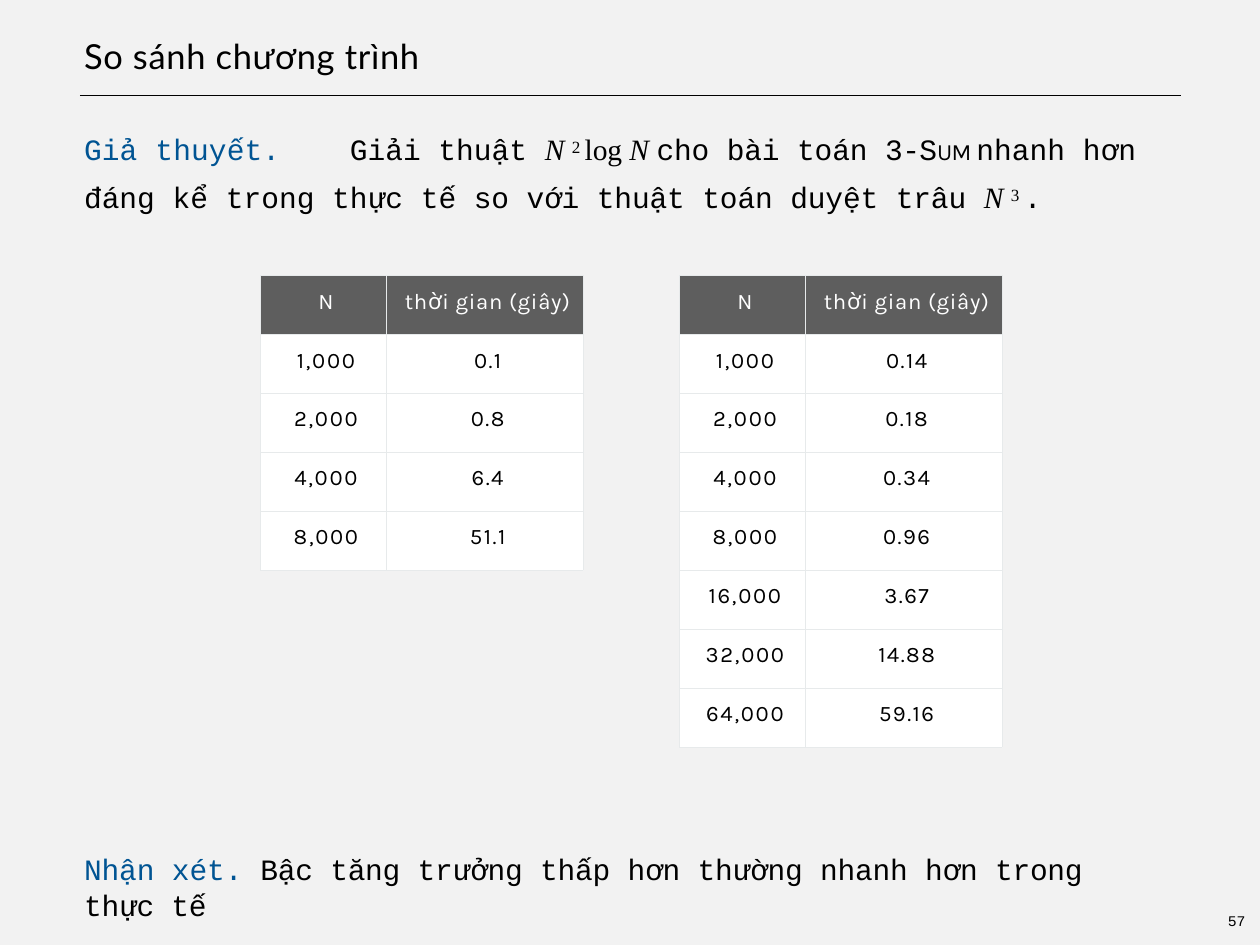
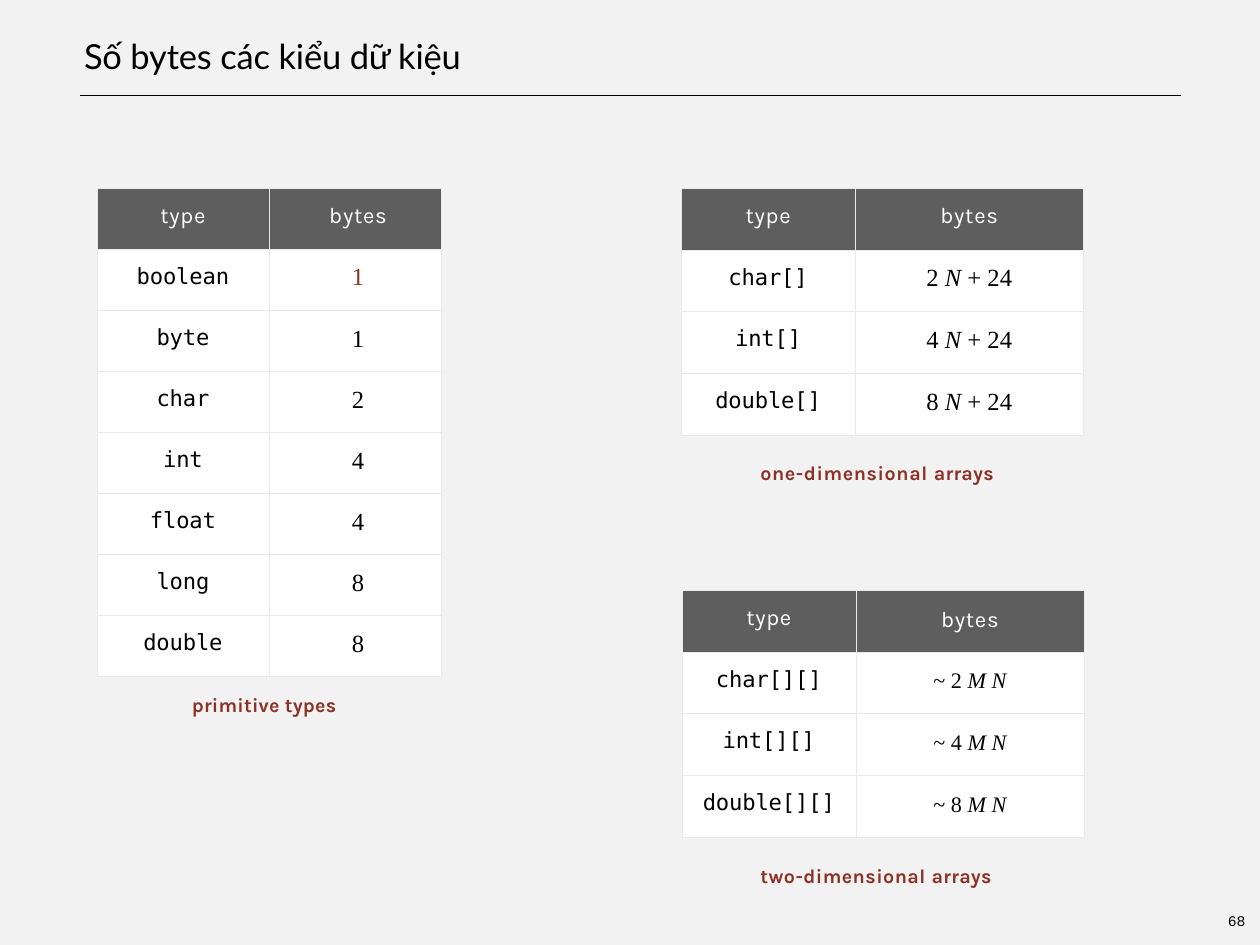
"""Build two slides on running times and memory use, with tables."""
from dataclasses import dataclass

from lxml import etree
from pptx import Presentation
from pptx import slide as s
from pptx import util as u
from pptx.dml import color as c
from pptx.enum import shapes, text
from pptx.oxml import ns
from pptx.table import _Cell as Cell
from pptx.text import text as t


@dataclass(frozen=True)
class Style:
    font: str
    size: float
    color: str = "000000"
    bold: bool = False


@dataclass(frozen=True)
class Theme:
    background: str = "F2F2F2"
    ink: str = "000000"
    blue: str = "005493"
    red: str = "8D3124"
    header_fill: str = "5E5E5E"
    cell_fill: str = "FFFFFF"
    border: str = "E7EAEB"
    math_font: str = "Times New Roman"
    label_font: str = "Karla"
    small_caps_size: float = 19
    title: Style = Style("Lato", 28)
    body: Style = Style("Courier New", 24)
    number: Style = Style("Courier New", 12)
    header: Style = Style("Karla", 18, "FFFFFF")
    figure: Style = Style("Karla", 18)
    code: Style = Style("DejaVu Sans Mono", 18)
    math: Style = Style("Times New Roman", 20)
    small_math: Style = Style("Times New Roman", 18)
    caption: Style = Style("Karla", 16, "8D3124", True)


THEME = Theme()


@dataclass(frozen=True)
class Run:
    text: str
    spacing: float = 0
    font: str | None = None
    size: float | None = None
    color: str | None = None
    italic: bool = False
    raised: bool = False


Runs = tuple[Run, ...]


@dataclass(frozen=True)
class Box:
    left: float
    top: float
    width: float
    height: float


@dataclass(frozen=True)
class Column:
    title: str
    width: float
    style: Style
    spacing: float = 0
    inset_left: float = 0
    inset_top: float = 0.43


@dataclass(frozen=True)
class Grid:
    left: float
    top: float
    row_height: float
    columns: tuple[Column, ...]
    rows: list[tuple[str | Runs, ...]]


def math_symbol(symbol: str) -> Run:
    return Run(symbol, font=THEME.math_font, italic=True)


def exponent(digit: str) -> Run:
    return Run(digit, font=THEME.math_font, raised=True)


def write(paragraph: t._Paragraph, style: Style, runs: Runs) -> None:
    font = paragraph.font
    font.name, font.size, font.bold = style.font, u.Pt(style.size), style.bold
    font.color.rgb = c.RGBColor.from_string(style.color)
    for part in runs:
        run = paragraph.add_run()
        run.text = part.text
        if part.font:
            run.font.name = part.font
        if part.size:
            run.font.size = u.Pt(part.size)
        if part.color:
            run.font.color.rgb = c.RGBColor.from_string(part.color)
        if part.italic:
            run.font.italic = True
        properties = run._r.get_or_add_rPr()
        if part.spacing:
            properties.set("spc", str(round(part.spacing * 100)))
        if part.raised:
            properties.set("baseline", "24000")


def add_text(slide: s.Slide, box: Box, style: Style, runs: Runs,
             line_spacing: float | None = None, tab: float | None = None) -> None:
    shape = slide.shapes.add_textbox(u.Cm(box.left), u.Cm(box.top), u.Cm(box.width), u.Cm(box.height))
    frame = shape.text_frame
    frame.word_wrap = True
    frame.margin_left = frame.margin_top = frame.margin_right = frame.margin_bottom = 0
    paragraph = frame.paragraphs[0]
    if line_spacing:
        paragraph.line_spacing = line_spacing
    if tab:
        tabs = etree.SubElement(paragraph._p.get_or_add_pPr(), ns.qn("a:tabLst"))
        etree.SubElement(tabs, ns.qn("a:tab"), pos=str(int(u.Cm(tab))), algn="l")
    write(paragraph, style, runs)


def set_borders(cell: Cell) -> None:
    properties = cell._tc.get_or_add_tcPr()
    for position, side in enumerate(("a:lnL", "a:lnR", "a:lnT", "a:lnB")):
        line = etree.Element(ns.qn(side), w=str(int(u.Pt(0.25))))
        fill = etree.SubElement(line, ns.qn("a:solidFill"))
        etree.SubElement(fill, ns.qn("a:srgbClr"), val=THEME.border)
        properties.insert(position, line)


def fill_cell(cell: Cell, column: Column, content: str | Runs, is_header: bool) -> None:
    cell.margin_left = u.Cm(column.inset_left)
    cell.margin_top = u.Cm(column.inset_top)
    cell.margin_right = cell.margin_bottom = 0
    cell.fill.solid()
    cell.fill.fore_color.rgb = c.RGBColor.from_string(
        THEME.header_fill if is_header else THEME.cell_fill)
    set_borders(cell)
    spacing = 0.6 if is_header else column.spacing
    runs = (Run(content, spacing),) if isinstance(content, str) else content
    paragraph = cell.text_frame.paragraphs[0]
    paragraph.alignment = text.PP_ALIGN.CENTER
    write(paragraph, THEME.header if is_header else column.style, runs)


def add_grid(slide: s.Slide, grid: Grid) -> None:
    lines = [tuple(column.title for column in grid.columns), *grid.rows]
    width = sum(column.width for column in grid.columns)
    table = slide.shapes.add_table(
        len(lines), len(grid.columns), u.Cm(grid.left), u.Cm(grid.top),
        u.Cm(width), u.Cm(grid.row_height * len(lines))).table
    table.horz_banding = False
    for index, column in enumerate(grid.columns):
        table.columns[index].width = u.Cm(column.width)
    for row, line in enumerate(lines):
        table.rows[row].height = u.Cm(grid.row_height)
        for index, content in enumerate(line):
            fill_cell(table.cell(row, index), grid.columns[index], content, row == 0)


def add_slide(presentation, title: Run, number: str) -> s.Slide:
    slide = presentation.slides.add_slide(presentation.slide_layouts[6])
    rule = slide.shapes.add_connector(
        shapes.MSO_CONNECTOR.STRAIGHT, u.Cm(2.29), u.Cm(2.74), u.Cm(33.86), u.Cm(2.74))
    rule.line.color.rgb = c.RGBColor.from_string(THEME.ink)
    rule.line.width = u.Pt(1)
    etree.SubElement(rule._element.spPr, ns.qn("a:effectLst"))
    add_text(slide, Box(2.41, 1.02, 24, 1.25), THEME.title, (title,))
    add_text(slide, Box(35.2, 26.14, 0.7, 0.58), THEME.number, (Run(number),))
    return slide


def add_comparison(presentation) -> None:
    slide = add_slide(presentation, Run("So sánh chương trình", 0.6), "57")
    hypothesis = (
        Run("Giả thuyết.\t", 0.1, color=THEME.blue),
        Run("Giải thuật "),
        math_symbol("N "),
        exponent("2 "),
        Run("log ", -0.1, THEME.math_font),
        math_symbol("N "),
        Run("cho bài toán ", -0.1),
        Run("3-S", -0.5),
        Run("UM ", -0.5, THEME.label_font, THEME.small_caps_size),
        Run("nhanh hơn đáng kể trong thực tế"),
        Run(" so với thuật toán duyệt trâu ", -0.1),
        math_symbol("N "),
        exponent("3 "),
        Run(".", -0.1),
    )
    add_text(slide, Box(2.41, 3.4, 30.66, 2.8), THEME.body, hypothesis, line_spacing=1.35, tab=7.62)

    columns = (
        Column("N", 3.6, THEME.figure, 1.4, 0.15, 0.38),
        Column("thời gian (giây)", 5.64, THEME.figure, 1.2, 0.18, 0.38),
    )
    cubic = [("1,000", "0.1"), ("2,000", "0.8"), ("4,000", "6.4"), ("8,000", "51.1")]
    quadratic_log = [
        ("1,000", "0.14"), ("2,000", "0.18"), ("4,000", "0.34"), ("8,000", "0.96"),
        ("16,000", "3.67"), ("32,000", "14.88"), ("64,000", "59.16"),
    ]
    for left, rows in ((7.47, cubic), (19.48, quadratic_log)):
        add_grid(slide, Grid(left, 7.9, 1.69, columns, rows))

    remark = (
        Run("Nhận xét", -0.1, color=THEME.blue),
        Run(". ", color=THEME.blue),
        Run("Bậc tăng trưởng thấp hơn thường nhanh hơn trong thực tế", -0.2),
    )
    add_text(slide, Box(2.41, 24.41, 30.2, 2.1), THEME.body, remark)


def add_memory(presentation) -> None:
    slide = add_slide(presentation, Run("Số bytes các kiểu dữ kiệu", -0.1), "68")
    primitive_columns = (
        Column("type", 4.93, THEME.code, -0.1),
        Column("bytes", 4.93, THEME.math, inset_left=0.18),
    )
    primitive_rows = [
        ("boolean", (Run("1", color=THEME.red),)), ("byte", "1"), ("char", "2"),
        ("int", "4"), ("float", "4"), ("long", "8"), ("double", "8"),
    ]
    add_grid(slide, Grid(2.78, 5.39, 1.75, primitive_columns, primitive_rows))

    array_type = Column("type", 4.98, THEME.code, -0.1)
    line_columns = (array_type, Column("bytes", 6.55, THEME.math))
    plane_columns = (array_type, Column("bytes", 6.55, THEME.small_math, inset_top=0.5))
    elements = (("char", 2), ("int", 4), ("double", 8))
    line_rows = [
        (f"{name}[]", (Run(f"{size} "), Run("N ", italic=True), Run("+ 24")))
        for name, size in elements]
    plane_rows = [
        (f"{name}[][]", (Run(f"~ {size} "), Run("M N", italic=True)))
        for name, size in elements]
    add_grid(slide, Grid(19.53, 5.39, 1.77, line_columns, line_rows))
    add_grid(slide, Grid(19.55, 16.92, 1.77, plane_columns, plane_rows))

    captions = (
        (5.5, 19.87, (Run("primitive types", 0.2),)),
        (21.8, 13.21, (Run("one-dimensional ", 0.5), Run("arrays", 0.2))),
        (21.8, 24.77, (Run("two-dimensional ", 0.4), Run("arrays", 0.2))),
    )
    for left, top, runs in captions:
        add_text(slide, Box(left, top, 7.1, 0.74), THEME.caption, runs)


def main() -> None:
    presentation = Presentation()
    presentation.slide_width = u.Cm(36.12)
    presentation.slide_height = u.Cm(27.1)
    background = presentation.slide_master.background.fill
    background.solid()
    background.fore_color.rgb = c.RGBColor.from_string(THEME.background)
    add_comparison(presentation)
    add_memory(presentation)
    presentation.save("out.pptx")


if __name__ == "__main__":
    main()
